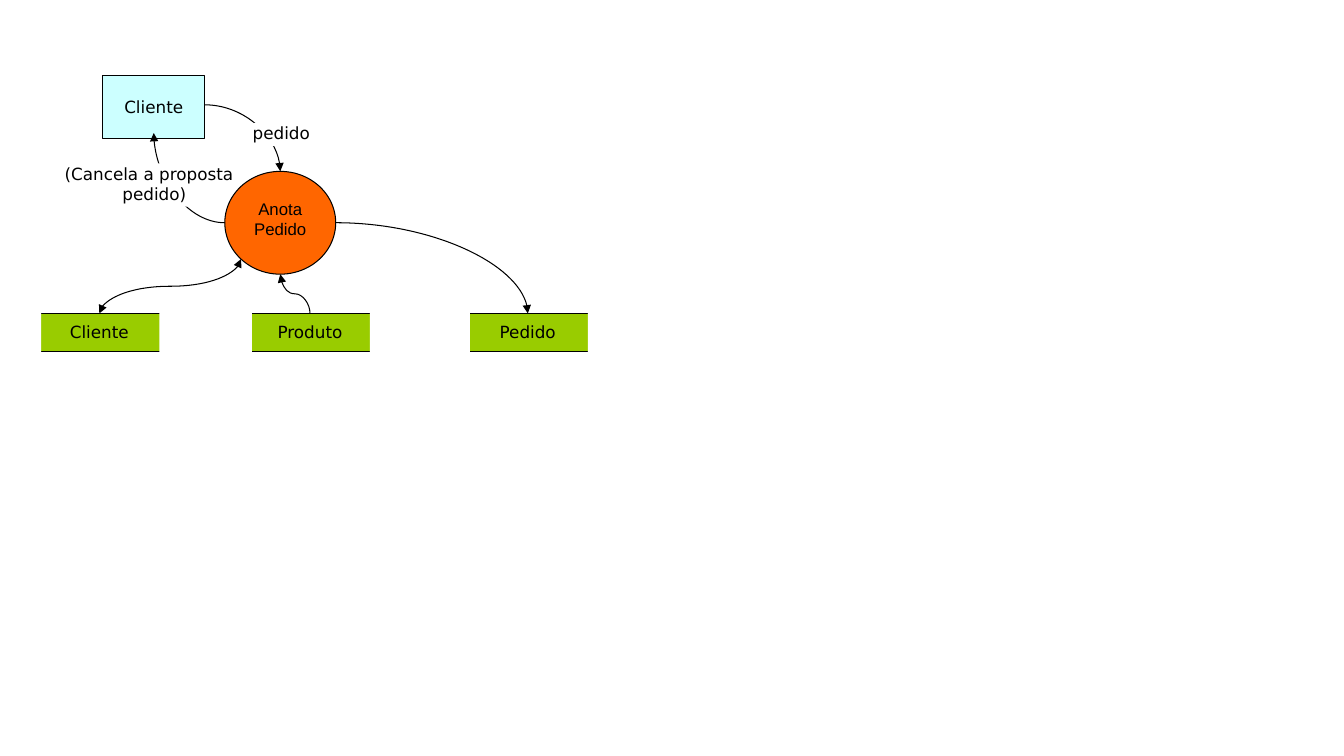
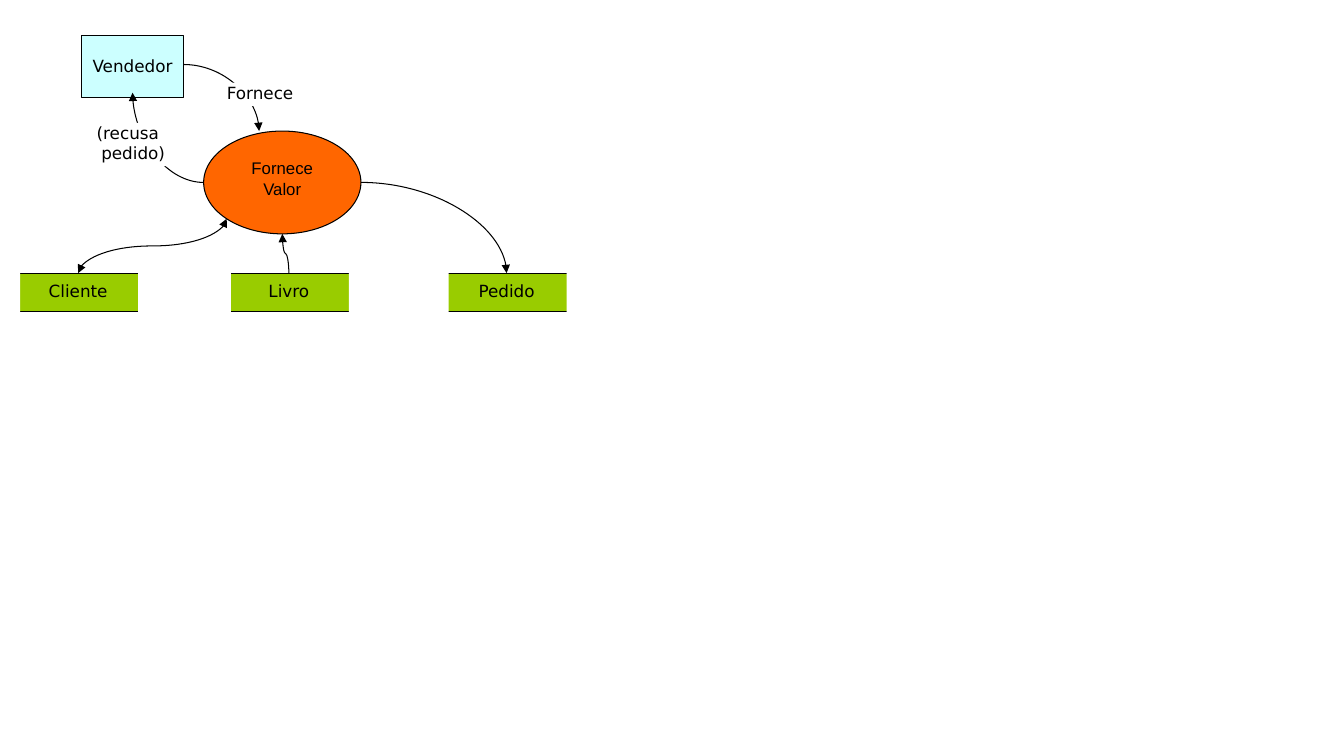
from math import sqrt

from lxml import etree
from pptx import Presentation
from pptx import util as u
from pptx.dml.color import RGBColor
from pptx.enum import shapes, text
from pptx.oxml.ns import qn

# Content: origin is the top of the entity and the left of the first store
DIAGRAMS = [
    dict(origin=(0.38, 0.75), entity="Cliente", request="pedido",
         refusal=["(Cancela a proposta ", " pedido)"],
         process="Anota Pedido", process_width=1.1,
         stores=["Cliente", "Produto", "Pedido"]),
    dict(origin=(0.17, 0.35), entity="Vendedor", request="Fornece",
         refusal=["(recusa ", " pedido)"],
         process="Fornece Valor", process_width=1.56,
         stores=["Cliente", "Livro", "Pedido"]),
]

# Shared style
BLACK = RGBColor(0x00, 0x00, 0x00)
WHITE = RGBColor(0xFF, 0xFF, 0xFF)
CYAN = RGBColor(0xCC, 0xFF, 0xFF)
ORANGE = RGBColor(0xFF, 0x66, 0x00)
GREEN = RGBColor(0x99, 0xCC, 0x00)
LABEL_FONT, PROCESS_FONT = "DejaVu Sans", "Arial"
LINE_WIDTH = u.Pt(0.75)
RECT, OVAL = shapes.MSO_SHAPE.RECTANGLE, shapes.MSO_SHAPE.OVAL

# Shared layout, in inches from the diagram's origin
ENTITY = (0.64, 0, 1.01, 0.62)
REQUEST_LABEL = (1.77, 0.47, 1.28, 0.23)
REFUSAL_LABEL = (0.66, 0.87, 0.93, 0.43)
REQUEST_END_X, REQUEST_Y = 2.4, 0.29
REFUSAL_END_Y = 0.57
PROCESS_X, PROCESS_Y, PROCESS_H = 1.85, 0.95, 1.02
STORE_XS, STORE_Y, STORE_W, STORE_H = (0, 2.09, 4.25), 2.36, 1.21, 0.38
MASK_W, MASK_RISE, MASK_H = 0.2, 0.05, 0.45


class Diagram:
    def __init__(self, page, origin):
        self.page, self.origin = page, origin

    def place(self, x, y):
        return u.Inches(self.origin[0] + x), u.Inches(self.origin[1] + y)

    def block(self, kind, area, fill, outlined=False):
        left, top, width, height = area
        box = self.page.shapes.add_shape(
            kind, *self.place(left, top), u.Inches(width), u.Inches(height))
        box.shadow.inherit = False
        box.fill.solid()
        box.fill.fore_color.rgb = fill
        if outlined:
            box.line.color.rgb = BLACK
            box.line.width = LINE_WIDTH
        else:
            box.line.fill.background()
        return box

    def curve(self, start, end, head=False, tail=False):
        """Curve through a quarter turn, leaving horizontally."""
        line = self.connect(self.place(*start), self.place(*end), head, tail)
        line._element.spPr.find(qn("a:prstGeom")).set("prst", "curvedConnector2")

    def s_curve(self, start, end, head=False, tail=False):
        """S-shaped curve leaving downwards: a level one turned by 90 degrees."""
        (x1, y1), (x2, y2) = self.place(*start), self.place(*end)
        mid_x, mid_y = (x1 + x2) // 2, (y1 + y2) // 2
        half_w, half_h = (y2 - y1) // 2, (x1 - x2) // 2
        line = self.connect((mid_x - half_w, mid_y - half_h),
                            (mid_x + half_w, mid_y + half_h), head, tail)
        line._element.spPr.find(qn("a:xfrm")).set("rot", str(90 * 60000))

    def connect(self, start, end, head, tail):
        line = self.page.shapes.add_connector(
            shapes.MSO_CONNECTOR.CURVE, *start, *end)
        line.line.color.rgb = BLACK
        line.line.width = LINE_WIDTH
        outline = line._element.spPr.find(qn("a:ln"))
        for tag, wanted in (("a:headEnd", head), ("a:tailEnd", tail)):
            if wanted:
                etree.SubElement(outline, qn(tag), type="triangle")
        etree.SubElement(line._element.spPr, qn("a:effectLst"))
        return line


def write(box, lines, margins=(0, 0, 0, 0), anchor=text.MSO_ANCHOR.TOP,
          font=LABEL_FONT, before=0, wrap=True):
    frame = box.text_frame
    frame.word_wrap = wrap
    frame.vertical_anchor = anchor
    (frame.margin_left, frame.margin_top,
     frame.margin_right, frame.margin_bottom) = map(u.Inches, margins)
    frame.text = "\n".join(lines)
    for para in frame.paragraphs:
        para.alignment = text.PP_ALIGN.CENTER
        para.space_before = u.Pt(before)
        para.font.name = font
        para.font.size = u.Pt(12)
        para.font.color.rgb = BLACK


def draw(page, content):
    diagram = Diagram(page, content["origin"])
    entity_x, _, entity_w, _ = ENTITY
    process_w = content["process_width"]
    center_x, center_y = PROCESS_X + process_w / 2, PROCESS_Y + PROCESS_H / 2
    store_centers = [x + STORE_W / 2 for x in STORE_XS]

    # Request from the entity to the process
    diagram.curve((entity_x + entity_w, REQUEST_Y),
                  (REQUEST_END_X, PROCESS_Y), tail=True)
    write(diagram.block(RECT, REQUEST_LABEL, WHITE), [content["request"]])
    write(diagram.block(RECT, ENTITY, CYAN, outlined=True), [content["entity"]],
          (0.1, 0.04, 0.1, 0.05), text.MSO_ANCHOR.MIDDLE)

    # Refusal back to the entity
    diagram.curve((PROCESS_X, center_y),
                  (entity_x + entity_w / 2, REFUSAL_END_Y), tail=True)
    write(diagram.block(RECT, REFUSAL_LABEL, WHITE), content["refusal"], wrap=False)

    # Data stores, open at both sides
    for x, name in zip(STORE_XS, content["stores"]):
        store = diagram.block(RECT, (x, STORE_Y, STORE_W, STORE_H), GREEN, True)
        write(store, [name], (0.1, 0.08, 0.1, 0.05))
        for mask_x in (x - 0.17, x + STORE_W - 0.01):
            diagram.block(RECT, (mask_x, STORE_Y - MASK_RISE, MASK_W, MASK_H), WHITE)

    # Flows between the process and its stores
    first, middle, last = [(x, STORE_Y) for x in store_centers]
    lower_left = (center_x - process_w / 2 / sqrt(2),
                  center_y + PROCESS_H / 2 / sqrt(2))
    diagram.s_curve(lower_left, first, head=True, tail=True)
    diagram.s_curve((center_x, PROCESS_Y + PROCESS_H), middle, head=True)
    diagram.curve((PROCESS_X + process_w, center_y), last, tail=True)

    # Process
    process = diagram.block(
        OVAL, (PROCESS_X, PROCESS_Y, process_w, PROCESS_H), ORANGE, outlined=True)
    write(process, [content["process"]], (0.1, 0.12, 0.1, 0.05),
          font=PROCESS_FONT, before=2.4)


deck = Presentation()
deck.slide_width, deck.slide_height = u.Inches(13.33), u.Inches(7.5)
blank = deck.slide_layouts[6]
for diagram_content in DIAGRAMS:
    draw(deck.slides.add_slide(blank), diagram_content)
deck.save("out.pptx")
